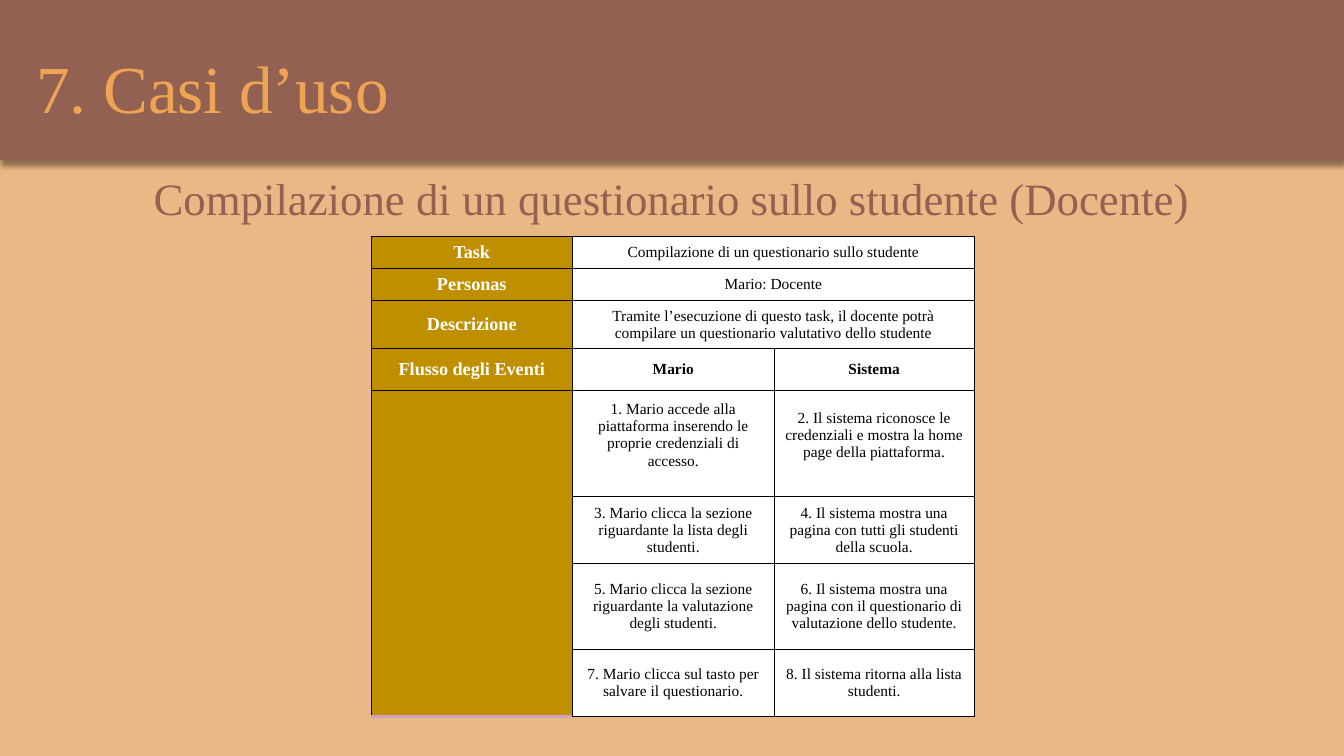
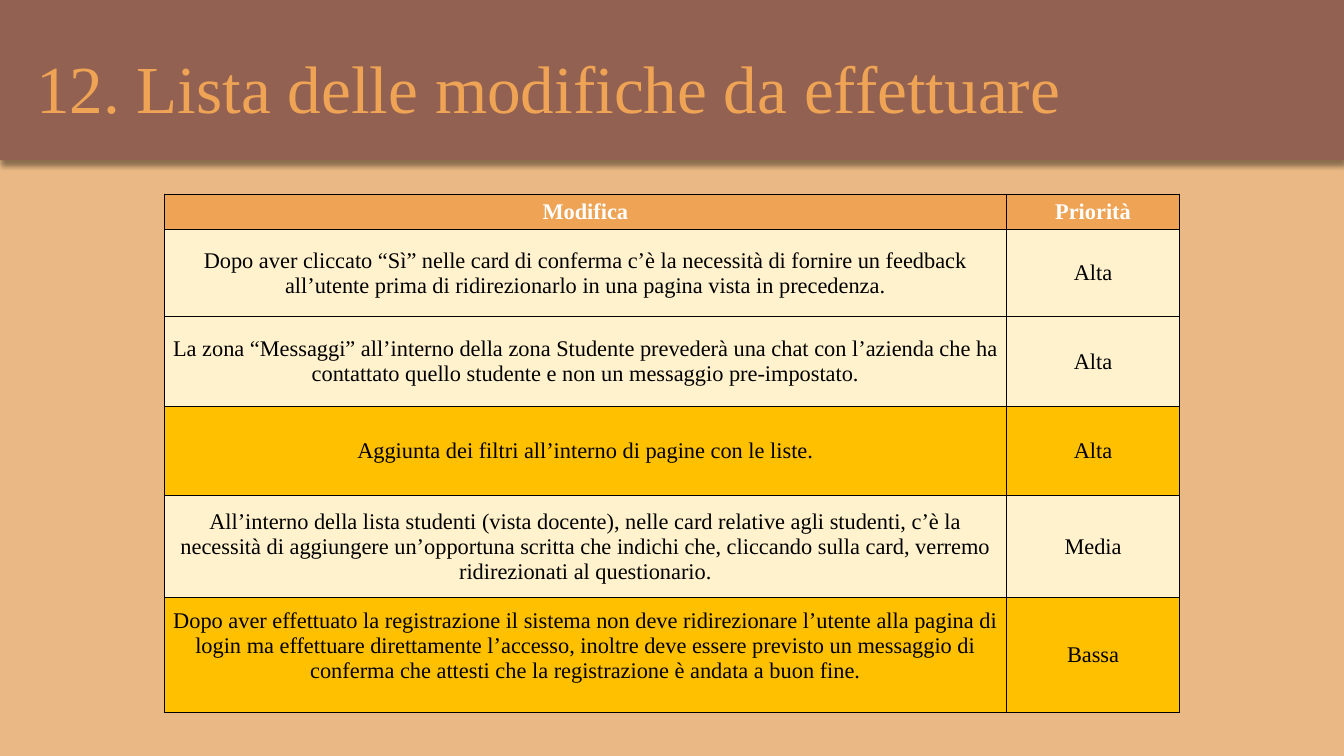
from dataclasses import dataclass, field

import pptx
import pptx.dml.color
import pptx.enum.shapes
import pptx.enum.text
import pptx.oxml
import pptx.oxml.ns
import pptx.util

FONT = "Times New Roman"
COLORS = {
    "sand": "EAB884", "brown": "926151", "orange": "EEA355", "ochre": "BF8F00",
    "cream": "FFF2CC", "amber": "FFC000", "pink": "D0A1C0",
    "white": "FFFFFF", "black": "000000",
}
SLIDE_W, SLIDE_H = pptx.util.Inches(13.33), pptx.util.Inches(7.5)
ALIGN = pptx.enum.text.PP_ALIGN
ANCHOR = pptx.enum.text.MSO_ANCHOR
BAND_H = 21.2  # height of the title band, percent of the slide


@dataclass(frozen=True)
class Box:
    """Place and size in percent of the slide's width and height."""
    left: float
    top: float
    width: float
    height: float

    def emu(self) -> tuple[int, int, int, int]:
        return across(self.left), down(self.top), across(self.width), down(self.height)


@dataclass(frozen=True)
class Border:
    width: float
    color: str = "black"


@dataclass(frozen=True)
class Cell:
    text: str
    fill: str
    size: float
    color: str = "black"
    bold: bool = False
    anchor: ANCHOR = ANCHOR.MIDDLE
    extra_bottom: float = 0  # added to the bottom inset, percent of slide height
    span: tuple[int, int] = (1, 1)
    borders: dict[str, Border] = field(default_factory=dict)


@dataclass(frozen=True)
class Grid:
    """Table layout; columns and rows in percent of the slide."""
    left: float
    top: float
    cols: list[float]
    rows: list[float]
    inset: tuple[float, float]  # percent of the slide's width and height
    border: Border


def across(share: float) -> int:
    return round(SLIDE_W * share / 100)


def down(share: float) -> int:
    return round(SLIDE_H * share / 100)


def rgb(name: str) -> pptx.dml.color.RGBColor:
    return pptx.dml.color.RGBColor.from_string(COLORS[name])


def write_text(tf, text: str, *, size: float, color: str, bold: bool = False,
               align=ALIGN.LEFT) -> None:
    tf.word_wrap = True
    p = tf.paragraphs[0]
    p.alignment = align
    r = p.add_run()
    r.text = text
    r.font.name, r.font.size, r.font.bold = FONT, pptx.util.Pt(size), bold
    r.font.color.rgb = rgb(color)


def add_text(s, text: str, box: Box, **fmt) -> None:
    tf = s.shapes.add_textbox(*box.emu()).text_frame
    tf.auto_size = pptx.enum.text.MSO_AUTO_SIZE.SHAPE_TO_FIT_TEXT
    write_text(tf, text, **fmt)


def add_rect(s, box: Box, fill: str):
    sp = s.shapes.add_shape(pptx.enum.shapes.MSO_SHAPE.RECTANGLE, *box.emu())
    sp.shadow.inherit = False
    sp.fill.solid()
    sp.fill.fore_color.rgb = rgb(fill)
    sp.line.fill.background()
    return sp


def add_drop_shadow(sp) -> None:
    effects = sp._element.spPr.find(pptx.oxml.ns.qn("a:effectLst"))
    effects.append(pptx.oxml.parse_xml(
        f'<a:outerShdw {pptx.oxml.ns.nsdecls("a")} blurRad="{pptx.util.Pt(4)}" '
        f'dist="{pptx.util.Pt(3)}" dir="5400000" algn="t" rotWithShape="0">'
        f'<a:srgbClr val="{COLORS["black"]}"><a:alpha val="40000"/></a:srgbClr>'
        f'</a:outerShdw>'))


def add_page(prs, title: str):
    """Blank slide with the shared background, title band and title."""
    s = prs.slides.add_slide(prs.slide_layouts[6])
    add_rect(s, Box(0, 0, 100, 100), "sand")
    add_drop_shadow(add_rect(s, Box(0, 0, 100, BAND_H), "brown"))
    add_text(s, title, Box(1.95, 5.45, 88.8, 12.1), size=48, color="orange")
    return s


def style_cell(tc, cell: Cell, grid: Grid) -> None:
    tcPr = tc._tc.get_or_add_tcPr()
    for side in "LRTB":
        border = cell.borders.get(side, grid.border)
        tcPr.append(pptx.oxml.parse_xml(
            f'<a:ln{side} {pptx.oxml.ns.nsdecls("a")} w="{pptx.util.Pt(border.width)}">'
            f'<a:solidFill><a:srgbClr val="{COLORS[border.color]}"/></a:solidFill>'
            f'</a:ln{side}>'))
    tc.fill.solid()
    tc.fill.fore_color.rgb = rgb(cell.fill)
    tc.vertical_anchor = cell.anchor
    tc.margin_left = tc.margin_right = across(grid.inset[0])
    tc.margin_top = down(grid.inset[1])
    tc.margin_bottom = down(grid.inset[1] + cell.extra_bottom)


def add_grid(s, grid: Grid, cells: dict[tuple[int, int], Cell]) -> None:
    box = Box(grid.left, grid.top, sum(grid.cols), sum(grid.rows))
    table = s.shapes.add_table(len(grid.rows), len(grid.cols), *box.emu()).table
    table.first_row = table.horz_banding = False
    for col, width in zip(table.columns, grid.cols):
        col.width = across(width)
    for row, height in zip(table.rows, grid.rows):
        row.height = down(height)
    for (row, col), cell in cells.items():
        height, width = cell.span
        for r in range(row, row + height):
            for c in range(col, col + width):
                style_cell(table.cell(r, c), cell, grid)
        if cell.span != (1, 1):
            table.cell(row, col).merge(table.cell(row + height - 1, col + width - 1))
        if cell.text:
            write_text(table.cell(row, col).text_frame, cell.text, size=cell.size,
                       color=cell.color, bold=cell.bold, align=ALIGN.CENTER)


def build_use_case(prs) -> None:
    s = add_page(prs, "7. Casi d’uso")
    grid = Grid(27.6, 31.3, [15, 15, 14.9],
                [4.23, 4.23, 6.35, 5.56, 14.02, 8.86, 11.38, 8.86],
                (0.75, 0.67), Border(0.6))
    summary = [
        ("Task", "Compilazione di un questionario sullo studente"),
        ("Personas", "Mario: Docente"),
        ("Descrizione", "Tramite l’esecuzione di questo task, il docente potrà "
                        "compilare un questionario valutativo dello studente"),
        ("Flusso degli Eventi", ""),
    ]
    steps = [
        ("1. Mario accede alla piattaforma inserendo le proprie credenziali di accesso.",
         "2. Il sistema riconosce le credenziali e mostra la home page della piattaforma."),
        ("3. Mario clicca la sezione riguardante la lista degli studenti.",
         "4. Il sistema mostra una pagina con tutti gli studenti della scuola."),
        ("5. Mario clicca la sezione riguardante la valutazione degli studenti.",
         "6. Il sistema mostra una pagina con il questionario di valutazione dello studente."),
        ("7. Mario clicca sul tasto per salvare il questionario.",
         "8. Il sistema ritorna alla lista studenti."),
    ]
    thick = Border(1)
    # Thicker edges around the second and third step
    user_edges = [{"B": thick}, dict.fromkeys("LRTB", thick),
                  dict.fromkeys("LRTB", thick), {"T": thick}]
    system_edges = [{}, {"L": thick}, {"L": thick}, {}]

    cells = {}
    for row, (label, value) in enumerate(summary):
        cells[row, 0] = Cell(label, "ochre", 13, "white", bold=True)
        if value:
            cells[row, 1] = Cell(value, "white", 11, span=(1, 2))
    header_row = len(summary) - 1
    for col, actor in enumerate(("Mario", "Sistema"), start=1):
        cells[header_row, col] = Cell(actor, "white", 11, bold=True)
    cells[len(summary), 0] = Cell("", "ochre", 13, span=(len(steps), 1),
                                  borders={"B": Border(1.8, "pink")})
    for i, pair in enumerate(steps):
        for col, (text, edges) in enumerate(zip(pair, (user_edges, system_edges)), start=1):
            cells[len(summary) + i, col] = Cell(
                text, "white", 11, borders=edges[i], extra_bottom=0 if i else 2.25)
    add_grid(s, grid, cells)
    add_text(s, "Compilazione di un questionario sullo studente (Docente)",
             Box(5.6, 21.9, 88.8, 8.53), size=32, color="brown", align=ALIGN.CENTER)


def build_changes(prs) -> None:
    s = add_page(prs, "12. Lista delle modifiche da effettuare")
    grid = Grid(12.23, 25.7, [62.65, 12.9], [4.7, 11.5, 11.9, 11.8, 13.45, 15.25],
                (0.6, 0.53), Border(1))
    changes = [
        ("Dopo aver cliccato “Sì” nelle card di conferma c’è la necessità di fornire un "
         "feedback all’utente prima di ridirezionarlo in una pagina vista in precedenza.",
         "Alta", "cream"),
        ("La zona “Messaggi” all’interno della zona Studente prevederà una chat con "
         "l’azienda che ha contattato quello studente e non un messaggio pre-impostato.",
         "Alta", "cream"),
        ("Aggiunta dei filtri all’interno di pagine con le liste.", "Alta", "amber"),
        ("All’interno della lista studenti (vista docente), nelle card relative agli "
         "studenti, c’è la necessità di aggiungere un’opportuna scritta che indichi che, "
         "cliccando sulla card, verremo ridirezionati al questionario.",
         "Media", "cream"),
        ("Dopo aver effettuato la registrazione il sistema non deve ridirezionare l’utente "
         "alla pagina di login ma effettuare direttamente l’accesso, inoltre deve essere "
         "previsto un messaggio di conferma che attesti che la registrazione è andata a "
         "buon fine.", "Bassa", "amber"),
    ]
    cells = {(0, col): Cell(text, "orange", 16, "white", bold=True)
             for col, text in enumerate(("Modifica", "Priorità"))}
    for row, (change, priority, fill) in enumerate(changes, start=1):
        last = row == len(changes)
        cells[row, 0] = Cell(change, fill, 16, extra_bottom=3.4 if last else 0,
                             anchor=ANCHOR.BOTTOM if last else ANCHOR.MIDDLE)
        cells[row, 1] = Cell(priority, fill, 16)
    add_grid(s, grid, cells)


def main() -> None:
    prs = pptx.Presentation()
    prs.slide_width, prs.slide_height = SLIDE_W, SLIDE_H
    build_use_case(prs)
    build_changes(prs)
    prs.save("out.pptx")


if __name__ == "__main__":
    main()
